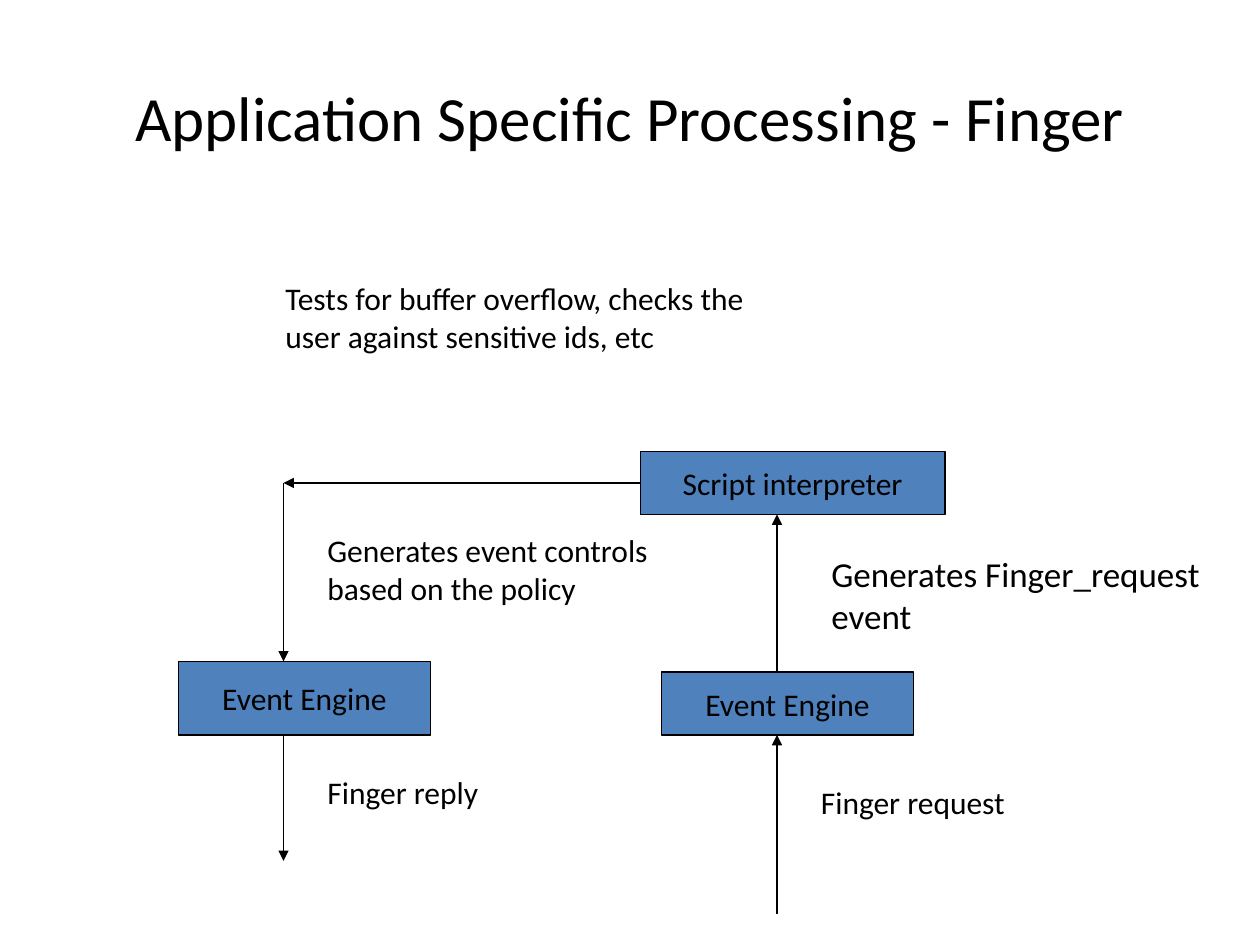
from lxml import etree
from pptx import Presentation
from pptx import util as u
from pptx.dml.color import RGBColor
from pptx.enum import shapes, text
from pptx.oxml import ns

COLORS = {"ink": "000000", "box": "4F81BD", "paper": "FFFFFF"}


class FlowPage:
    """Draws flow elements on a page ruled into 120 columns and 90 rows."""

    cell = u.Inches(1) / 12
    font = {"name": "Calibri", "size": u.Pt(18)}
    center = {"vertical_anchor": text.MSO_ANCHOR.MIDDLE}

    def __init__(self, deck):
        self.page = deck.slides.add_slide(deck.slide_layouts[6])
        self.paint(self.page.background.fill, "paper")

    def grid(self, *cells):
        return [round(cell * self.cell) for cell in cells]

    def paint(self, fill, color):
        fill.solid()
        fill.fore_color.rgb = RGBColor.from_string(COLORS[color])

    def outline(self, line):
        line.width = u.Pt(0.75)
        self.paint(line.fill, "ink")

    def put_words(self, frame, words, align, size=18, **formats):
        for name, value in formats.items():
            setattr(frame, name, value)
        para = frame.paragraphs[0]
        para.alignment = align
        span = para.add_run()
        span.text = words
        for name, value in {**self.font, "size": u.Pt(size)}.items():
            setattr(span.font, name, value)
        self.paint(span.font.fill, "ink")

    def title(self, words, *place):
        box = self.page.shapes.add_textbox(*self.grid(*place))
        self.put_words(box.text_frame, words, text.PP_ALIGN.CENTER, 36,
                       word_wrap=True, **self.center)

    def label(self, words, *place, size=18):
        box = self.page.shapes.add_textbox(*self.grid(*place))
        self.put_words(box.text_frame, words, text.PP_ALIGN.LEFT, size, word_wrap=True)

    def stage(self, words, *place):
        box = self.page.shapes.add_shape(shapes.MSO_SHAPE.RECTANGLE, *self.grid(*place))
        box.shadow.inherit = False
        self.paint(box.fill, "box")
        self.outline(box.line)
        self.put_words(box.text_frame, words, text.PP_ALIGN.CENTER,
                       word_wrap=False, **self.center)

    def arrow(self, *ends):
        arrow = self.page.shapes.add_connector(
            shapes.MSO_CONNECTOR.STRAIGHT, *self.grid(*ends))
        self.outline(arrow.line)
        properties = arrow._element.spPr
        line = properties.find(ns.qn("a:ln"))
        etree.SubElement(line, ns.qn("a:tailEnd"), type="triangle")
        etree.SubElement(properties, ns.qn("a:effectLst"))


def main():
    deck = Presentation()
    deck.slide_width, deck.slide_height = u.Inches(10), u.Inches(7.5)
    flow = FlowPage(deck)
    request, reply = 74, 27

    flow.title("Application Specific Processing - Finger", 6, 3.6, 108, 15)

    flow.arrow(request, 87, request, 70)
    flow.label("Finger request", request + 3, 74, 34, 6)
    flow.stage("Event Engine", 63, 64, 24, 6)
    flow.arrow(request, 64, request, 49)
    flow.label("Generates Finger_request event", request + 4, 52, 42, 9.24, size=20)

    flow.stage("Script interpreter", 61, 43, 29, 6)
    flow.label("Tests for buffer overflow, checks the user against sensitive ids, etc",
               26, 26, 47, 15.6)
    flow.arrow(61, 46, reply, 46)

    flow.arrow(reply, 46, reply, 63)
    flow.label("Generates event controls based on the policy", reply + 3, 50, 40, 8.4)
    flow.stage("Event Engine", 17, 63, 24, 7)
    flow.arrow(reply, 70, reply, 82)
    flow.label("Finger reply", reply + 3, 73, 28, 6)

    deck.save("out.pptx")


if __name__ == "__main__":
    main()
